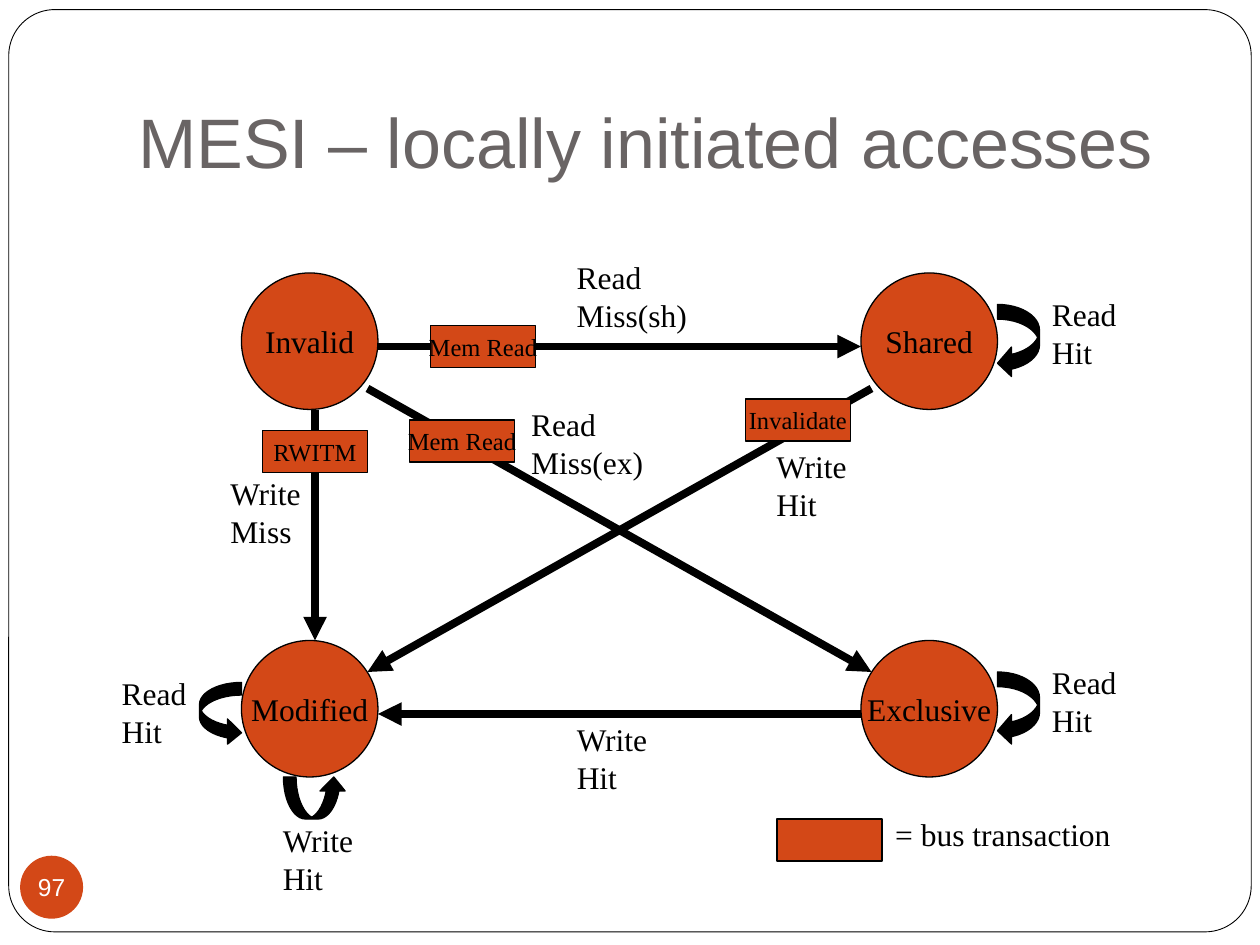
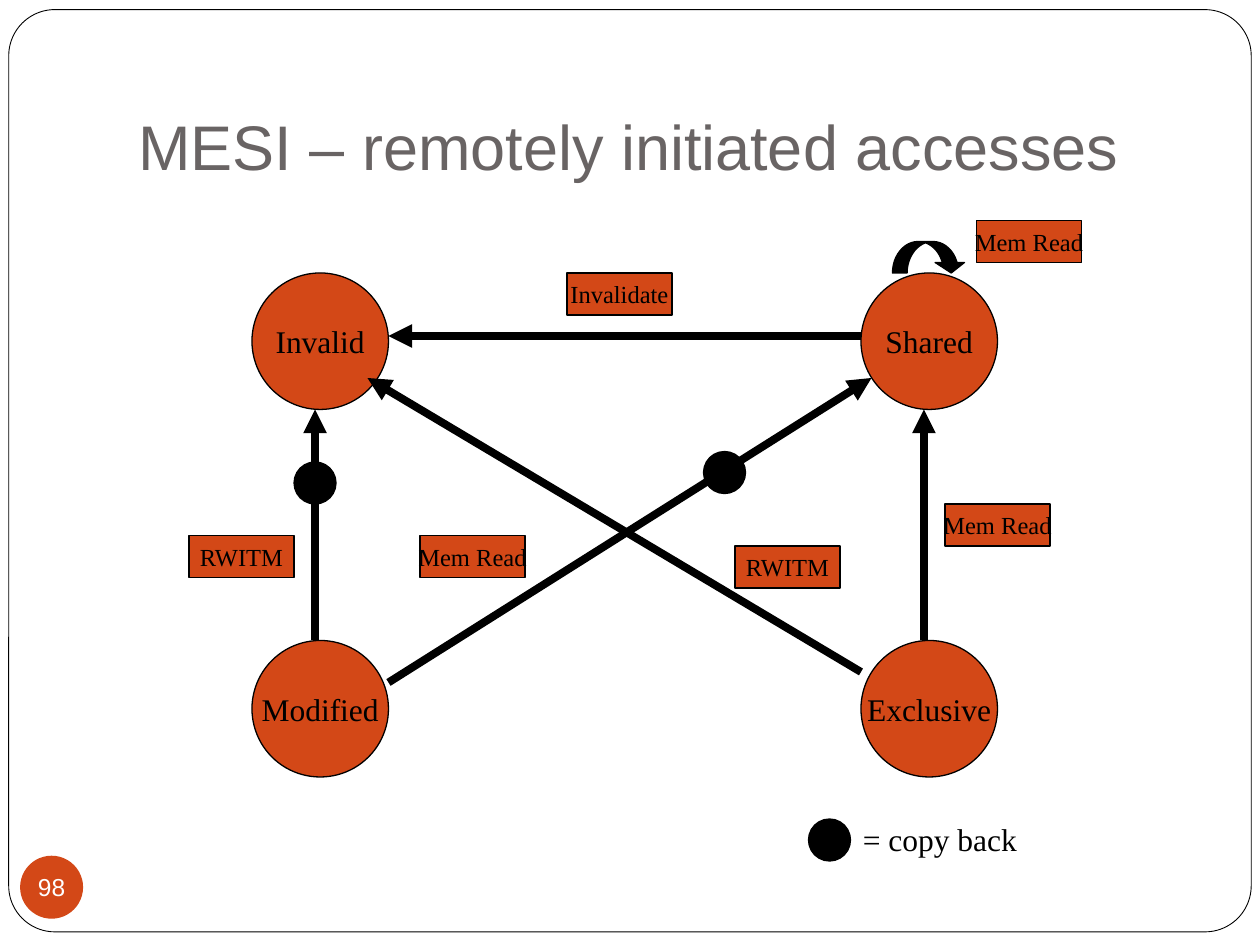
from lxml import etree
from pptx import Presentation
from pptx.dml.color import RGBColor
from pptx.enum import shapes, text
from pptx.oxml import ns
from pptx.util import Pt

COLORS = {"paper": "FFFFFF", "ink": "000000", "accent": "D34817", "title": "696464"}
SERIF, SANS = "Times New Roman", "Arial"
KIND = shapes.MSO_SHAPE
STATE_SIZE, DOT_SIZE = 78, 24
BOX_WIDTH, BOX_HEIGHT = 60, 24
LABEL_LINE, LABEL_PADDING = 21.6, 7.2
TOP, BOTTOM, RIGHT = 156, 366, 492

# Lengths are points. moves: x1, y1, x2, y2; loops: kind, x, y, width, height;
# labels: text, x, y, width; boxes: text, x, y; dots: x, y.
SLIDES = [
    {
        "title": "MESI – locally initiated accesses", "title_size": 40, "number": "97",
        "left": 138,
        "moves": [(216, 198, 492, 198), (180, 234, 180, 366), (492, 408, 216, 408),
                  (210, 222, 498, 384), (498, 222, 210, 384)],
        "loops": [(KIND.CURVED_LEFT_ARROW, 570, 174, 24, 42),
                  (KIND.CURVED_LEFT_ARROW, 570, 384, 24, 42),
                  (KIND.CURVED_RIGHT_ARROW, 114, 390, 24, 36),
                  (KIND.CURVED_UP_ARROW, 162, 444, 36, 24)],
        "labels": [("Read\nHit", 594, 165, 53), ("Read\nHit", 594, 375.5, 53),
                   ("Read\nHit", 62.5, 381.5, 53), ("Read\nMiss(sh)", 322.5, 144, 80),
                   ("Read\nMiss(ex)", 296.5, 228, 80), ("Write\nHit", 154.5, 465.5, 57),
                   ("Write\nHit", 322.5, 408, 57), ("Write\nHit", 436.5, 252, 57),
                   ("Write\nMiss", 124.5, 267.5, 57),
                   ("= bus transaction", 504.5, 462, 139)],
        "boxes": [("RWITM", 150, 246), ("Invalidate", 426, 228), ("Mem Read", 246, 186),
                  ("Mem Read", 234, 240), ("", 444, 468)],
        "dots": [],
    },
    {
        "title": "MESI – remotely initiated accesses", "title_size": 36, "number": "98",
        "left": 144,
        "moves": [(180, 366, 180, 234), (492, 192, 222, 192), (528, 366, 528, 234),
                  (222, 390, 498, 216), (492, 384, 210, 216)],
        "loops": [(KIND.CURVED_DOWN_ARROW, 510, 138, 42, 18)],
        "labels": [("= copy back", 486, 465, 105)],
        "boxes": [("Mem Read", 558, 126), ("Mem Read", 540, 288), ("Mem Read", 240, 306),
                  ("Invalidate", 324, 156), ("RWITM", 420, 312), ("RWITM", 108, 306)],
        "dots": [(168, 264), (402, 258), (462, 468)],
    },
]


def rgb(name):
    return RGBColor.from_string(COLORS[name])


def write(shape, words, size, font=SERIF, color="ink", align=text.PP_ALIGN.LEFT,
          anchor=text.MSO_ANCHOR.TOP):
    frame = shape.text_frame
    frame.text = words
    frame.word_wrap = False
    frame.vertical_anchor = anchor
    for paragraph in frame.paragraphs:
        paragraph.alignment = align
        paragraph.font.size = Pt(size)
        paragraph.font.name = font
        paragraph.font.color.rgb = rgb(color)


def write_centred(shape, words, size, **style):
    write(shape, words, size, align=text.PP_ALIGN.CENTER,
          anchor=text.MSO_ANCHOR.MIDDLE, **style)


def add_shape(slide, kind, x, y, width, height, fill="accent", line=0.75):
    shape = slide.shapes.add_shape(kind, Pt(x), Pt(y), Pt(width), Pt(height))
    shape.shadow.inherit = False
    shape.fill.solid()
    shape.fill.fore_color.rgb = rgb(fill)
    if line:
        shape.line.color.rgb = rgb("ink")
        shape.line.width = Pt(line)
    else:
        shape.line.fill.background()
    return shape


def add_textbox(slide, x, y, width, height):
    return slide.shapes.add_textbox(Pt(x), Pt(y), Pt(width), Pt(height))


def add_move(slide, x1, y1, x2, y2):
    """Draw a thick arrow from one state to another."""
    move = slide.shapes.add_connector(
        shapes.MSO_CONNECTOR.STRAIGHT, Pt(x1), Pt(y1), Pt(x2), Pt(y2))
    move.line.color.rgb = rgb("ink")
    move.line.width = Pt(4.5)
    etree.SubElement(move.line._get_or_add_ln(), ns.qn("a:tailEnd"), type="triangle")
    etree.SubElement(move._element.spPr, ns.qn("a:effectLst"))


def add_loop(slide, kind, x, y, width, height):
    """Draw a curved arrow whose band is a fifth of its long side."""
    loop = add_shape(slide, kind, x, y, width, height, fill="ink")
    ratio = max(width, height) / min(width, height)
    for i, value in enumerate((0.2 * ratio, 0.4 * ratio, 1 / 3)):
        loop.adjustments[i] = value


def add_base(slide, content):
    """Draw the frame, title and page number that every slide has."""
    frame = add_shape(slide, KIND.ROUNDED_RECTANGLE, 5, 5.5, 710, 527, "paper", 0.5)
    frame.adjustments[0] = 0.05
    title = add_textbox(slide, 72, 21.6, 612, 90)
    write(title, content["title"], content["title_size"], SANS, "title",
          anchor=text.MSO_ANCHOR.BOTTOM)
    title.text_frame.word_wrap = True
    title.text_frame.margin_bottom = Pt(7.2)
    badge = add_shape(slide, KIND.OVAL, 11.5, 489, 36, 36, line=0)
    write_centred(badge, content["number"], 14, font=SANS, color="paper")
    inner = badge.text_frame
    inner.margin_left = inner.margin_right = inner.margin_top = inner.margin_bottom = 0


def add_diagram(slide, content):
    left = content["left"]
    states = [("Invalid", left, TOP), ("Modified", left, BOTTOM),
              ("Exclusive", RIGHT, BOTTOM), ("Shared", RIGHT, TOP)]
    for name, x, y in states:
        state = add_shape(slide, KIND.OVAL, x, y, STATE_SIZE, STATE_SIZE)
        write_centred(state, name, 18)
    for move in content["moves"]:
        add_move(slide, *move)
    for loop in content["loops"]:
        add_loop(slide, *loop)
    for words, x, y, width in content["labels"]:
        height = LABEL_LINE * len(words.split("\n")) + LABEL_PADDING
        label = add_textbox(slide, x, y, width, height)
        write(label, words, 18)
        label.text_frame.word_wrap = True
    for words, x, y in content["boxes"]:
        box = add_shape(slide, KIND.RECTANGLE, x, y, BOX_WIDTH, BOX_HEIGHT)
        if words:
            write_centred(box, words, 14)
    for x, y in content["dots"]:
        add_shape(slide, KIND.OVAL, x, y, DOT_SIZE, DOT_SIZE, fill="ink")


def main():
    deck = Presentation()
    deck.slide_width, deck.slide_height = Pt(720), Pt(540)
    for content in SLIDES:
        slide = deck.slides.add_slide(deck.slide_layouts[6])
        add_base(slide, content)
        add_diagram(slide, content)
    deck.save("out.pptx")


if __name__ == "__main__":
    main()
